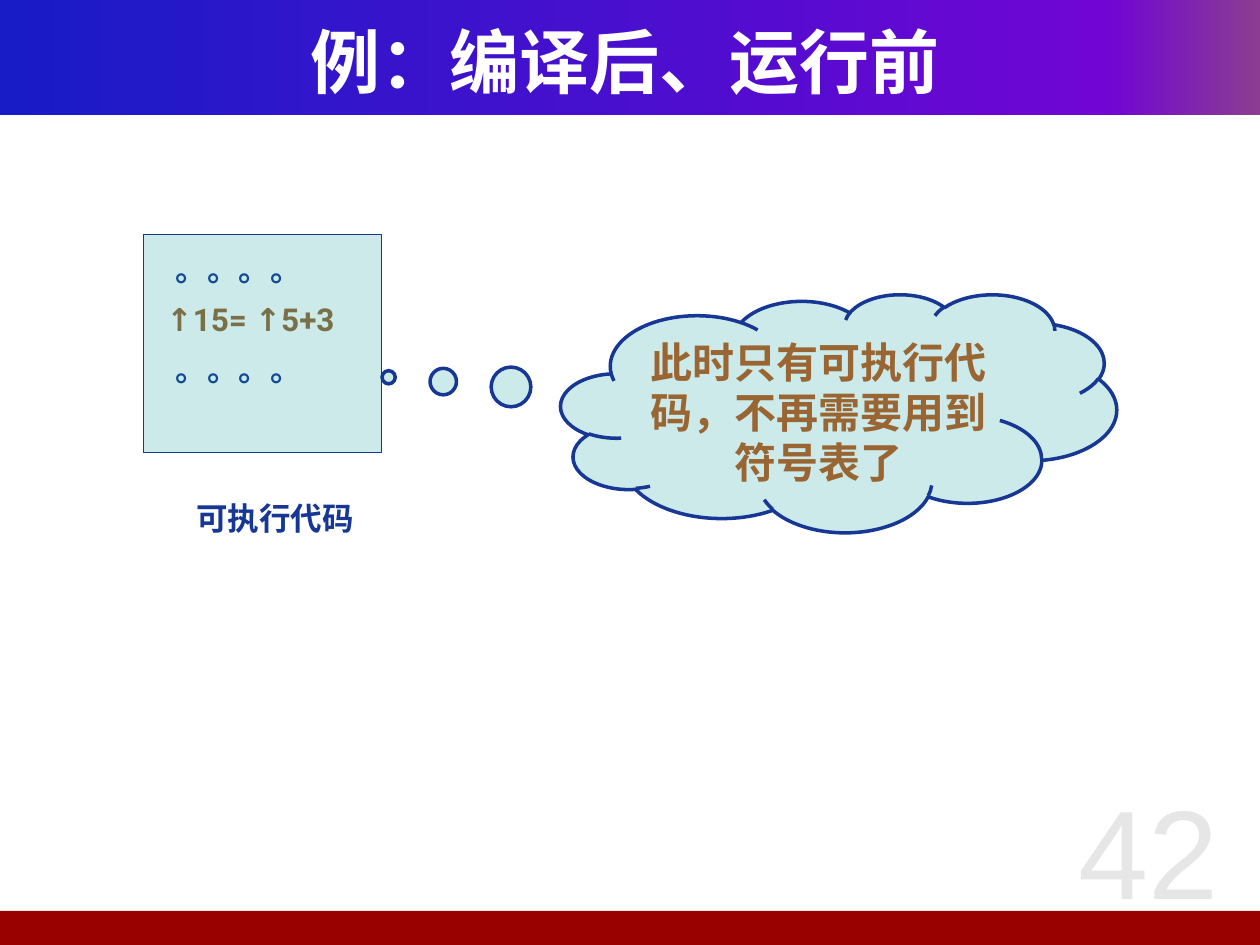
from dataclasses import dataclass

from lxml import etree
from pptx import Presentation
from pptx import util as u
from pptx.dml.color import RGBColor
from pptx.enum import shapes, text
from pptx.oxml.ns import qn


@dataclass(frozen=True)
class Theme:
    navy: str = "163794"
    teal: str = "009999"
    brown: str = "996633"
    white: str = "FFFFFF"
    red: str = "990000"
    pale: str = "E6E6E6"
    header: tuple = ((0, "181CC7"), (88, "7005D4"), (100, "8C3D91"))
    body_font: str = "Roboto"
    cjk_font: str = "Noto Sans CJK SC"
    number_font: str = "Arial"
    title: int = 40
    number: int = 72
    thought: int = 24
    label: int = 18
    opacity: int = 20


def points(box):
    return [u.Pt(value) for value in box]


def write(frame, words, *, size, color, font, bold=True, align=None,
          anchor=text.MSO_ANCHOR.TOP):
    frame.word_wrap = True
    frame.vertical_anchor = anchor
    paragraph = frame.paragraphs[0]
    paragraph.alignment = align
    run = paragraph.add_run()
    run.text = words
    run.font.size = u.Pt(size)
    run.font.name = font
    run.font.bold = bold
    run.font.color.rgb = RGBColor.from_string(color)
    east_asian = etree.SubElement(run.font._element, qn("a:ea"))
    east_asian.set("typeface", Theme.cjk_font)


class SlideBuilder:
    def __init__(self, slide, theme):
        self.slide = slide
        self.theme = theme

    def shape(self, kind, box):
        shape = self.slide.shapes.add_shape(kind, *points(box))
        shape.shadow.inherit = False
        return shape

    def band(self, box, color):
        band = self.shape(shapes.MSO_SHAPE.RECTANGLE, box)
        band.fill.solid()
        band.fill.fore_color.rgb = RGBColor.from_string(color)
        band.line.fill.background()

    def gradient_band(self, box, stops):
        band = self.shape(shapes.MSO_SHAPE.RECTANGLE, box)
        band.fill.gradient()
        band.fill.gradient_angle = 0
        stop_list = band._element.spPr.find(f".//{qn('a:gsLst')}")
        for old_stop in list(stop_list):
            stop_list.remove(old_stop)
        for percent, color in stops:
            stop = etree.SubElement(stop_list, qn("a:gs"), pos=str(percent * 1000))
            etree.SubElement(stop, qn("a:srgbClr"), val=color)
        band.line.fill.background()

    def tinted(self, kind, box, line_width):
        shape = self.shape(kind, box)
        shape.fill.solid()
        shape.fill.fore_color.rgb = RGBColor.from_string(self.theme.teal)
        tint = shape._element.spPr.find(f"{qn('a:solidFill')}/{qn('a:srgbClr')}")
        etree.SubElement(tint, qn("a:alpha"), val=str(self.theme.opacity * 1000))
        shape.line.color.rgb = RGBColor.from_string(self.theme.navy)
        shape.line.width = u.Pt(line_width)
        return shape

    def thought(self, box, tail, words):
        cloud = self.tinted(shapes.MSO_SHAPE.CLOUD_CALLOUT, box, 2)
        for index, offset in enumerate(tail):
            cloud.adjustments[index] = offset
        write(cloud.text_frame, words, size=self.theme.thought,
              color=self.theme.brown, font=self.theme.body_font,
              align=text.PP_ALIGN.CENTER)

    def text_box(self, box, words, **style):
        frame = self.slide.shapes.add_textbox(*points(box)).text_frame
        write(frame, words, **style)

    def label(self, box, words, color):
        self.text_box(box, words, size=self.theme.label, color=color,
                      font=self.theme.body_font)


def main():
    theme = Theme()
    deck = Presentation()
    deck.slide_width, deck.slide_height = u.Pt(720), u.Pt(540)
    page = SlideBuilder(deck.slides.add_slide(deck.slide_layouts[6]), theme)
    centered = {"align": text.PP_ALIGN.CENTER, "anchor": text.MSO_ANCHOR.MIDDLE}

    # Header, footer and page number
    page.gradient_band((0, 0, 720, 65.5), theme.header)
    page.band((-3, 520.5, 723, 19.5), theme.red)
    page.text_box((24, 12, 666, 45), "例：编译后、运行前", size=theme.title,
                  color=theme.white, font=theme.cjk_font, **centered)
    page.text_box((592.5, 434, 127.5, 102), "42", size=theme.number,
                  color=theme.pale, font=theme.number_font, bold=False, **centered)

    # Executable code, beneath its translucent panel
    page.label((88, 168, 175.5, 29), "↑15= ↑5+3", theme.brown)
    for ellipsis_top in (139.5, 196.5):
        page.label((93.5, ellipsis_top, 119, 29), "。。。。", theme.navy)
    page.tinted(shapes.MSO_SHAPE.RECTANGLE, (82, 134, 136, 124.5), 0.75)

    # Remark and caption
    page.thought((320.5, 168, 317.5, 136), (-0.81, -0.15),
                 "此时只有可执行代码，不再需要用到符号表了")
    page.label((105, 281.5, 113, 29), "可执行代码", theme.navy)

    deck.save("out.pptx")


if __name__ == "__main__":
    main()
